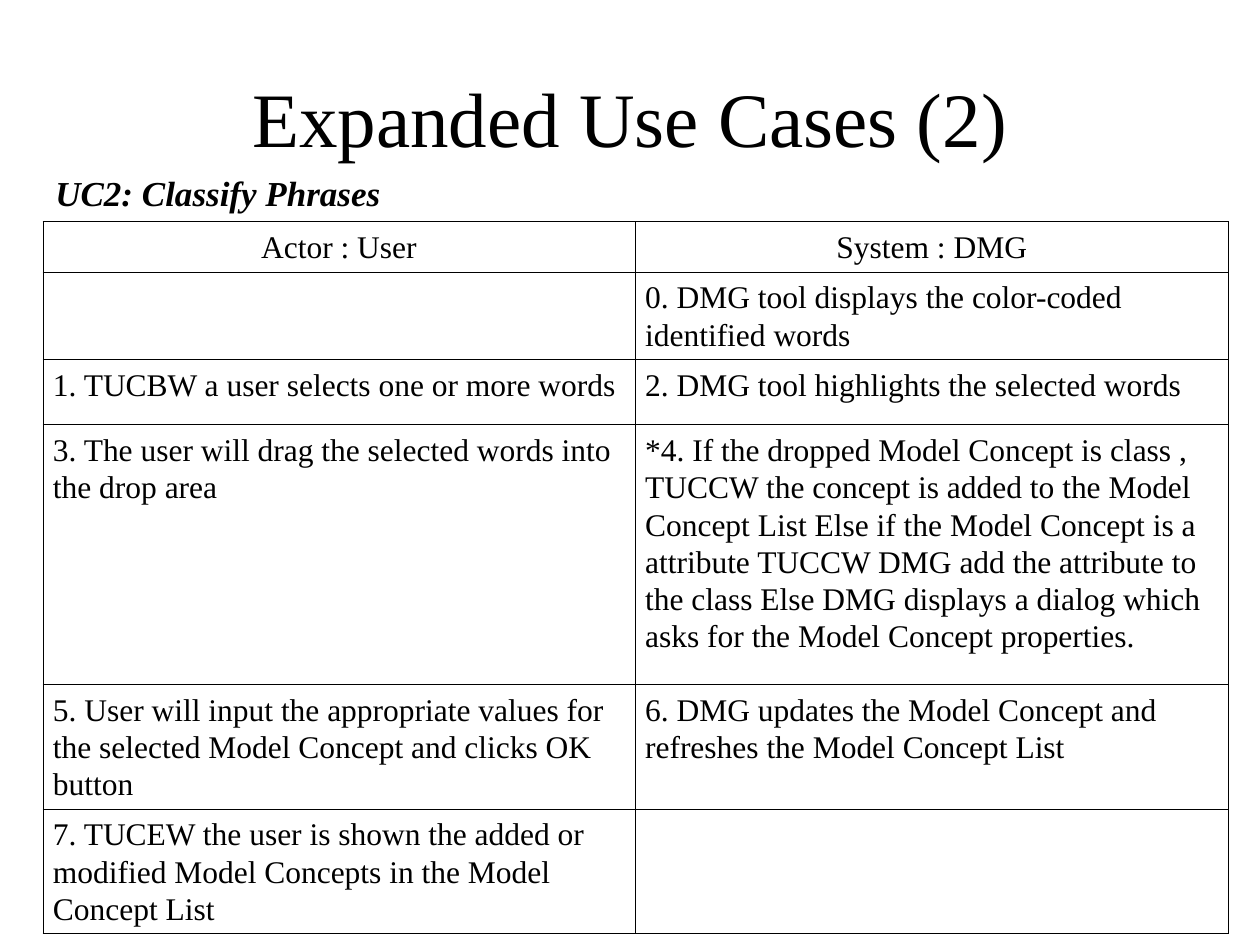
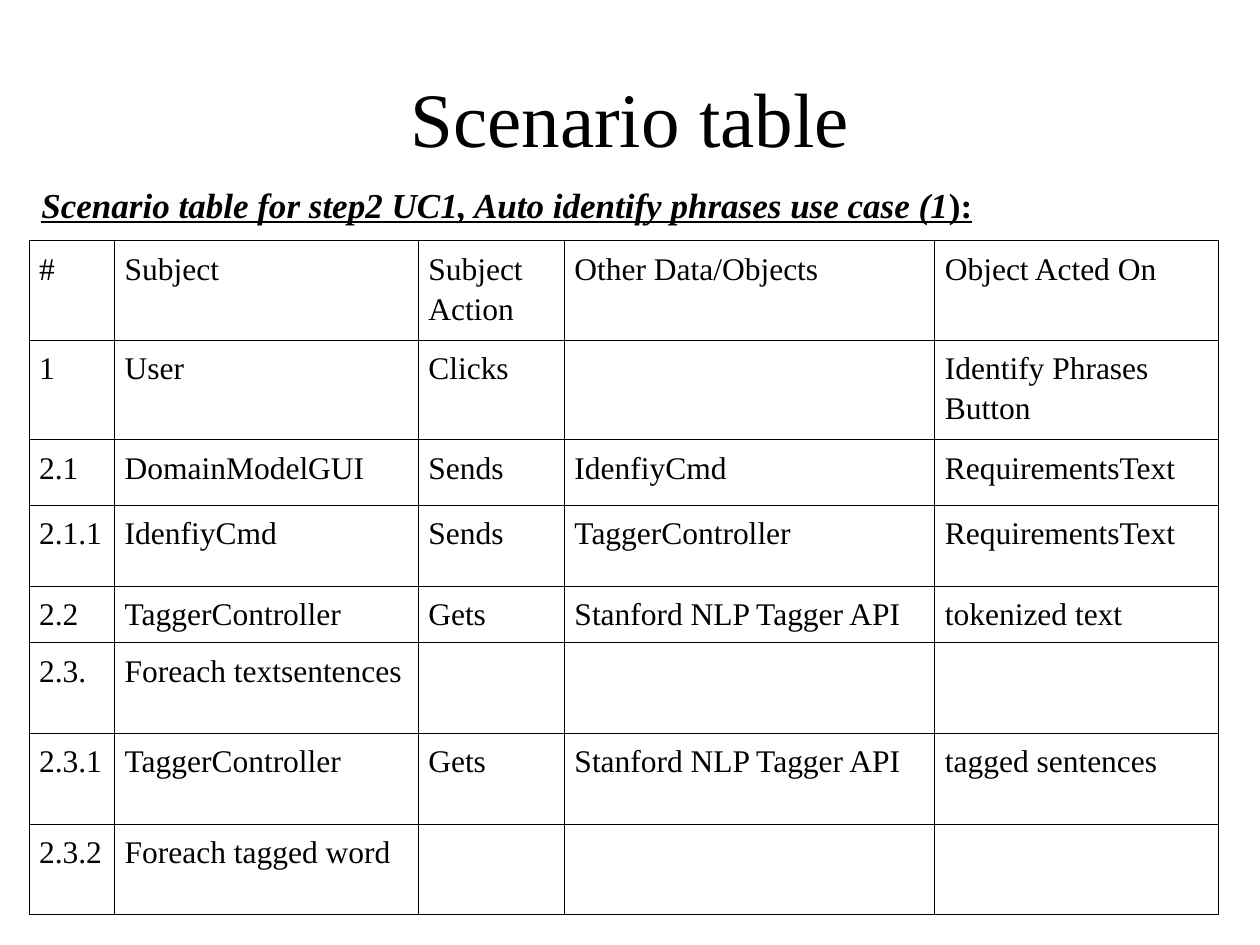
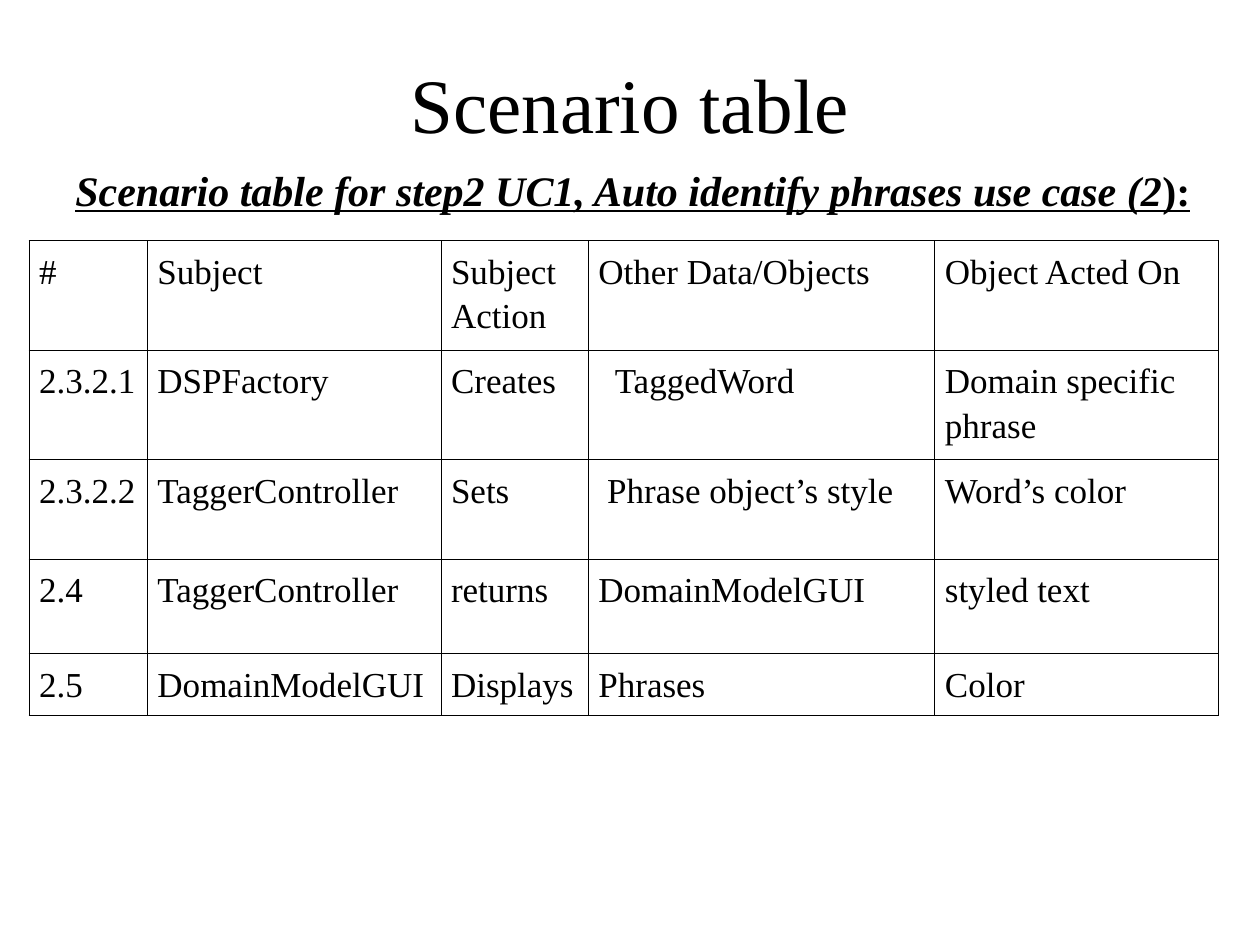
from dataclasses import dataclass, field

from lxml.etree import SubElement
from pptx import Presentation
from pptx.dml.color import RGBColor
from pptx.enum.text import MSO_ANCHOR, MSO_AUTO_SIZE, PP_ALIGN
from pptx.oxml.ns import qn
from pptx.util import Inches, Length, Pt

COLORS = {"text": "000000", "border": "000000", "background": "FFFFFF"}
FONT = "Times New Roman"
BORDER_WIDTH = Pt(0.45)
CELL_MARGIN_X = 0.08
CELL_MARGIN_Y = 0.05
SCENARIO_HEADER = ["#", "Subject", "Subject Action", "Other Data/Objects", "Object Acted On"]


@dataclass
class Caption:
    """A bold italic line above a table, with an optional upright ending."""
    text: str
    left: float
    top: float
    width: float
    height: float = 0.44
    size: int = 20
    ending: str = ""
    underline: bool = False


@dataclass
class Grid:
    """A bordered table, its sizes and its paragraph format."""
    left: float
    top: float
    columns: list[float]
    heights: list[float]
    rows: list[list[str]]
    size: int = 18
    line_spacing: float | Length = 1.15
    space_after: int = 10
    centered_header: bool = False
    indents: dict[tuple[int, int], float] = field(default_factory=dict)


@dataclass
class TablePage:
    """A page made of a title, a caption and a table."""
    title: str
    caption: Caption
    grid: Grid
    title_height: float = 1.25


PAGES = [
    TablePage(
        "Expanded Use Cases (2)",
        Caption("UC2: Classify Phrases", 0.34, 1.31, 9.75),
        Grid(
            0.34, 1.76, [4.7, 4.71], [0.4, 0.69, 0.52, 2.06, 0.99, 0.99],
            [
                ["Actor : User", "System : DMG"],
                ["", "0. DMG tool displays the color-coded identified words"],
                ["1. TUCBW a user selects one or more words",
                 "2. DMG tool highlights the selected words"],
                ["3. The user will drag the selected words into the drop area",
                 "*4. If the dropped Model Concept is class , TUCCW the concept is added to "
                 "the Model Concept List Else if the Model Concept is a attribute TUCCW DMG "
                 "add the attribute to the class Else DMG displays a dialog which asks for "
                 "the Model Concept properties."],
                ["5. User will input the appropriate values for the selected Model Concept "
                 "and clicks OK button",
                 "6. DMG updates the Model Concept and refreshes the Model Concept List"],
                ["7. TUCEW the user is shown the added or modified Model Concepts in the "
                 "Model Concept List", ""],
            ],
            line_spacing=Pt(21.3), space_after=0, centered_header=True,
        ),
    ),
    TablePage(
        "Scenario table",
        Caption("Scenario table for step2 UC1, Auto identify phrases use case (1",
                0.23, 1.4, 9.82, ending="):", underline=True),
        Grid(
            0.23, 1.91, [0.68, 2.41, 1.16, 2.94, 2.25],
            [0.79, 0.79, 0.52, 0.64, 0.45, 0.72, 0.72, 0.72],
            [
                SCENARIO_HEADER,
                ["1", "User", "Clicks", "", "Identify Phrases Button"],
                ["2.1", "DomainModelGUI", "Sends", "IdenfiyCmd", "RequirementsText"],
                ["2.1.1", "IdenfiyCmd", "Sends", "TaggerController", "RequirementsText"],
                ["2.2", "TaggerController", "Gets", "Stanford NLP Tagger API", "tokenized text"],
                ["2.3.", "Foreach textsentences", "", "", ""],
                ["2.3.1", "TaggerController", "Gets", "Stanford NLP Tagger API",
                 "tagged sentences"],
                ["2.3.2", "Foreach tagged word", "", "", ""],
            ],
        ),
    ),
    TablePage(
        "Scenario table",
        Caption("Scenario table for step2 UC1, Auto identify phrases use case (2",
                0.5, 1.27, 9.08, height=0.47, size=24, ending="):", underline=True),
        Grid(
            0.23, 1.91, [0.94, 2.33, 1.17, 2.75, 2.25], [0.87, 0.87, 0.79, 0.75, 0.49],
            [
                SCENARIO_HEADER,
                ["2.3.2.1", "DSPFactory", "Creates", "TaggedWord", "Domain specific phrase"],
                ["2.3.2.2", "TaggerController", "Sets", "Phrase object’s style", "Word’s color"],
                ["2.4", "TaggerController", "returns", "DomainModelGUI", "styled text"],
                ["2.5", "DomainModelGUI", "Displays", "Phrases", "Color"],
            ],
            size=20, indents={(1, 3): 0.13, (2, 3): 0.07},
        ),
        title_height=1.03,
    ),
]


def add_span(para, text: str, *, size: int, bold: bool = False, italic: bool = False,
             underline: bool = False) -> None:
    """Add formatted text to a paragraph."""
    span = para.add_run()
    span.text = text
    font = span.font
    font.name = FONT
    font.size = Pt(size)
    font.bold = bold
    font.italic = italic
    font.underline = underline
    font.color.rgb = RGBColor.from_string(COLORS["text"])


def add_title(page, text: str, height: float) -> None:
    """Place and fill the title placeholder."""
    title = page.shapes.title
    title.left, title.top = Inches(0.5), Inches(0.3)
    title.width, title.height = Inches(9), Inches(height)
    frame = title.text_frame
    frame.auto_size = MSO_AUTO_SIZE.NONE
    frame.vertical_anchor = MSO_ANCHOR.MIDDLE
    para = frame.paragraphs[0]
    para.alignment = PP_ALIGN.CENTER
    add_span(para, text, size=44)


def add_caption(page, caption: Caption) -> None:
    """Draw the caption above the table."""
    box = page.shapes.add_textbox(Inches(caption.left), Inches(caption.top),
                                  Inches(caption.width), Inches(caption.height))
    frame = box.text_frame
    frame.word_wrap = True
    frame.vertical_anchor = MSO_ANCHOR.MIDDLE
    para = frame.paragraphs[0]
    add_span(para, caption.text, size=caption.size, bold=True, italic=True,
             underline=caption.underline)
    if caption.ending:
        add_span(para, caption.ending, size=caption.size, bold=True,
                 underline=caption.underline)


def format_cell(cell, indent: float) -> None:
    """Give a cell its margins, thin borders and no fill."""
    cell.margin_left = Inches(CELL_MARGIN_X + indent)
    cell.margin_right = Inches(CELL_MARGIN_X)
    cell.margin_top = cell.margin_bottom = Inches(CELL_MARGIN_Y)
    properties = cell._tc.get_or_add_tcPr()
    for side in ("a:lnL", "a:lnR", "a:lnT", "a:lnB"):
        line = SubElement(properties, qn(side), w=str(int(BORDER_WIDTH)))
        fill = SubElement(line, qn("a:solidFill"))
        SubElement(fill, qn("a:srgbClr"), val=COLORS["border"])
    cell.fill.background()


def add_grid(page, grid: Grid) -> None:
    """Draw a table with its text."""
    frame = page.shapes.add_table(len(grid.rows), len(grid.columns),
                                  Inches(grid.left), Inches(grid.top),
                                  Inches(sum(grid.columns)), Inches(sum(grid.heights)))
    table = frame.table
    table.first_row = table.horz_banding = False
    for column, width in zip(table.columns, grid.columns):
        column.width = Inches(width)
    for row, height in zip(table.rows, grid.heights):
        row.height = Inches(height)
    for row_index, texts in enumerate(grid.rows):
        for column_index, text in enumerate(texts):
            cell = table.cell(row_index, column_index)
            format_cell(cell, grid.indents.get((row_index, column_index), 0))
            if not text:
                continue
            para = cell.text_frame.paragraphs[0]
            para.line_spacing = grid.line_spacing
            para.space_after = Pt(grid.space_after)
            if grid.centered_header and row_index == 0:
                para.alignment = PP_ALIGN.CENTER
            add_span(para, text, size=grid.size)


def main() -> None:
    """Build the deck and save it."""
    deck = Presentation()
    deck.slide_width, deck.slide_height = Inches(10), Inches(7.5)
    background = deck.slide_master.background.fill
    background.solid()
    background.fore_color.rgb = RGBColor.from_string(COLORS["background"])
    title_only = deck.slide_layouts.get_by_name("Title Only")
    for content in PAGES:
        page = deck.slides.add_slide(title_only)
        add_title(page, content.title, content.title_height)
        add_caption(page, content.caption)
        add_grid(page, content.grid)
    deck.save("out.pptx")


if __name__ == "__main__":
    main()
